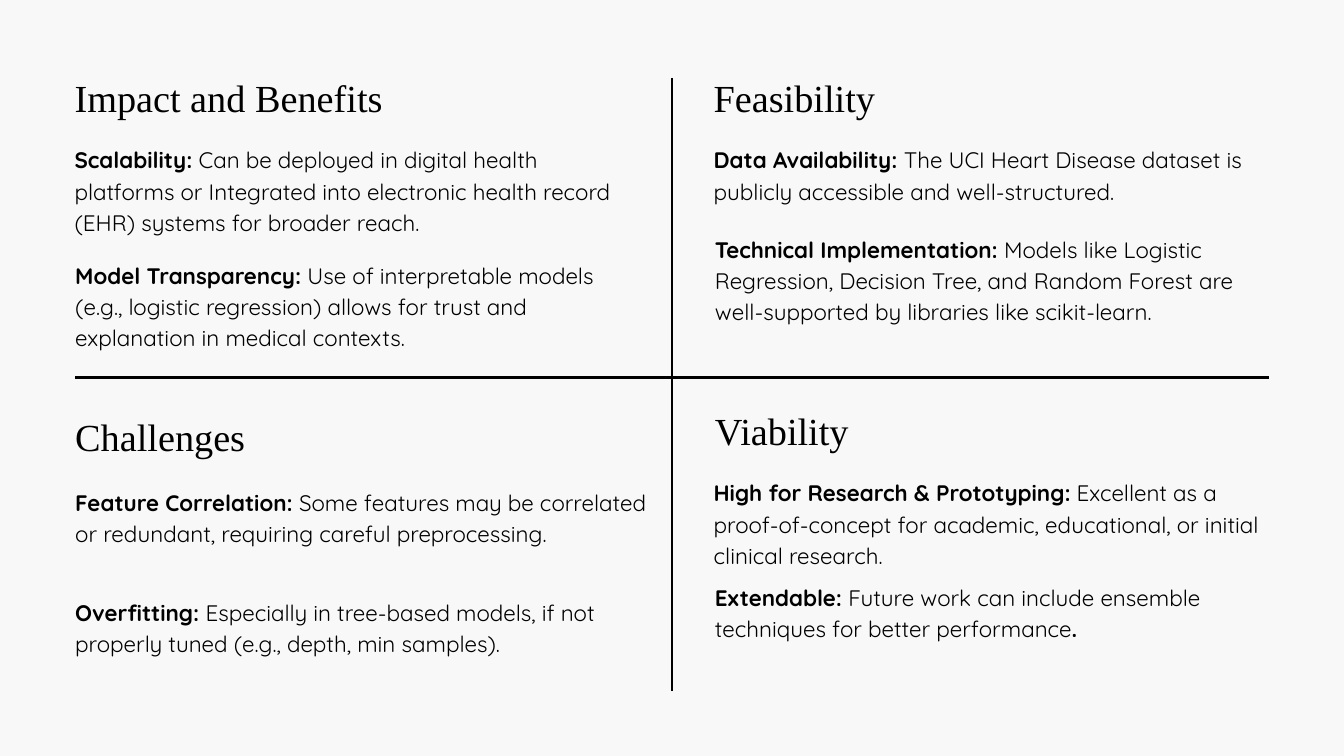
from lxml import etree
from pptx import Presentation
from pptx import util as u
from pptx.dml.color import RGBColor
from pptx.enum import shapes, text
from pptx.oxml import ns

SCALE = 9144
INK = "000000"
LEFT, RIGHT = 111, 1062


def px(length):
    """Turn px (100 to the inch) into EMU."""
    return u.Emu(length * SCALE)


def color(hex_code):
    """Turn a hex string into a colour."""
    return RGBColor.from_string(hex_code)


class Board:
    """Holds the style and the current slide."""

    def __init__(self, deck):
        """Add a blank slide with a pale background."""
        self.slide = deck.slides.add_slide(deck.slide_layouts[6])
        background = self.slide.background.fill
        background.solid()
        background.fore_color.rgb = color("F8F8F8")

    def add_text(self, x, y, width, height, pieces, font, size, leading):
        """Add one paragraph made of (words, bold) pieces."""
        box = self.slide.shapes.add_textbox(px(x), px(y), px(width), px(height))
        frame = box.text_frame
        frame.word_wrap = True
        frame.auto_size = text.MSO_AUTO_SIZE.SHAPE_TO_FIT_TEXT
        frame.margin_left = frame.margin_top = 0
        frame.margin_right = frame.margin_bottom = 0
        paragraph = frame.paragraphs[0]
        paragraph.line_spacing = u.Pt(leading)
        for words, bold in pieces:
            run = paragraph.add_run()
            run.text = words
            run.font.name = font
            run.font.size = u.Pt(size)
            run.font.bold = bold
            run.font.color.rgb = color(INK)

    def heading(self, x, y, title):
        """Add a quadrant heading."""
        self.add_text(x, y, 624, 85, [(title, False)], "Times New Roman", 41, 57.4)

    def point(self, x, y, width, height, label, detail, ending=""):
        """Add a bold label, its detail and an optional bold ending."""
        pieces = [(label, True), (detail, False)]
        if ending:
            pieces.append((ending, True))
        self.add_text(x, y, width, height, pieces, "Quicksand", 24, 33.6)

    def divider(self, x1, y1, x2, y2):
        """Draw a straight dividing line."""
        rule = self.slide.shapes.add_connector(
            shapes.MSO_CONNECTOR.STRAIGHT, px(x1), px(y1), px(x2), px(y2))
        rule.line.color.rgb = color(INK)
        rule.line.width = u.Pt(3)
        etree.SubElement(rule._element.spPr, ns.qn("a:effectLst"))


HEADINGS = [
    (LEFT, 99, "Impact and Benefits"),
    (RIGHT, 99, "Feasibility"),
    (LEFT + 1, 603, "Challenges"),
    (RIGHT + 2, 595, "Viability"),
]

POINTS = [
    (LEFT, 211, 825, 139, "Scalability: ",
     "Can be deployed in digital health platforms or Integrated into "
     "electronic health record (EHR) systems for broader reach."),
    (LEFT + 1, 383, 824, 139, "Model Transparency: ",
     "Use of interpretable models (e.g., logistic regression) allows for "
     "trust and explanation in medical contexts."),
    (RIGHT, 211, 825, 91, "Data Availability: ",
     "The UCI Heart Disease dataset is publicly accessible and "
     "well-structured."),
    (RIGHT + 2, 344, 824, 137, "Technical Implementation: ",
     "Models like Logistic Regression, Decision Tree, and Random Forest are "
     "well-supported by libraries like scikit-learn."),
    (LEFT + 1, 721, 854, 137, "Feature Correlation: ",
     "Some features may be correlated or redundant, requiring careful "
     "preprocessing."),
    (LEFT + 1, 885, 824, 91, "Overfitting: ",
     "Especially in tree-based models, if not properly tuned (e.g., depth, "
     "min samples)."),
    (RIGHT, 707, 824, 137, "High for Research & Prototyping:",
     " Excellent as a proof-of-concept for academic, educational, or initial "
     "clinical research."),
    (RIGHT + 2, 862, 824, 91, "Extendable: ",
     "Future work can include ensemble techniques for better performance",
     "."),
]


def main():
    """Build the four-quadrant slide."""
    deck = Presentation()
    deck.slide_width, deck.slide_height = px(2000), px(1125)
    board = Board(deck)
    board.divider(112, 562, 1888, 562)
    board.divider(1000, 116, 1000, 1028)
    for heading in HEADINGS:
        board.heading(*heading)
    for point in POINTS:
        board.point(*point)
    deck.save("out.pptx")


if __name__ == "__main__":
    main()
